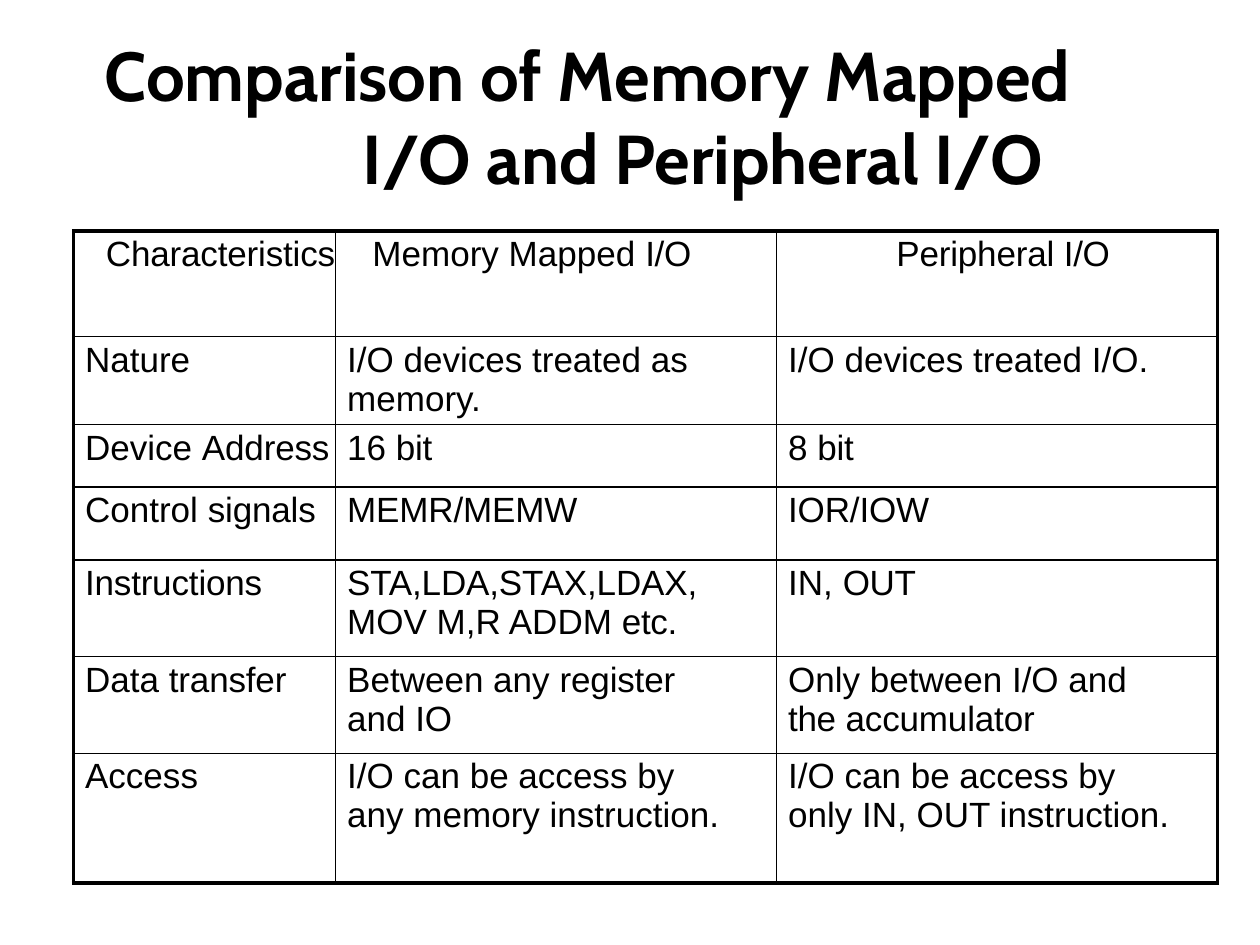
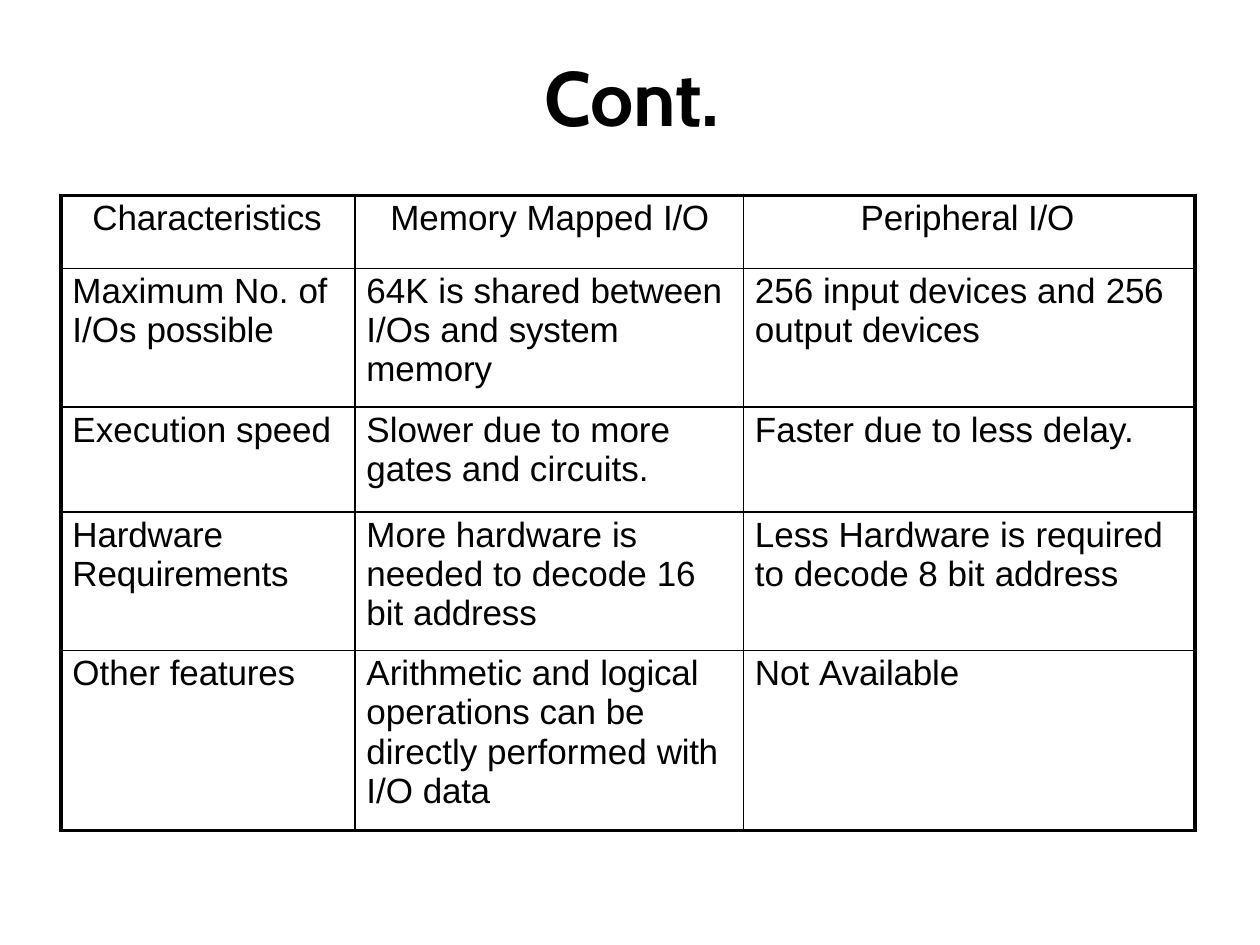
from dataclasses import dataclass

from lxml.etree import SubElement
from pptx import Presentation
from pptx.dml.color import RGBColor
from pptx.enum.text import MSO_ANCHOR as Anchor, MSO_AUTO_SIZE as AutoSize, PP_ALIGN as Align
from pptx.oxml.ns import qn
from pptx.util import Pt


@dataclass(frozen=True)
class Theme:
    ink: RGBColor = RGBColor(0, 0, 0)
    paper: RGBColor = RGBColor(255, 255, 255)
    title_font: str = "Cabin"
    body_font: str = "Arial"
    long_title_size: float = 39.5
    short_title_size: float = 44
    body_size: float = 20
    frame_line: float = 2.25
    grid_line: float = 1
    cell_indent: float = 6.6
    cell_top: float = 2.2


THEME = Theme()


@dataclass(frozen=True)
class Tracked:
    """A piece of text with its own letter spacing in points."""
    text: str
    spacing: float


def tight(text):
    return Tracked(text, -0.1)


def tighter(text):
    return Tracked(text, -0.2)


IO = tighter("I/O")
HEADINGS = [
    [tight("Characteristics")],
    ["Memory Mapped ", IO],
    [tight("Peripheral "), IO],
]

COMPARISON = [
    HEADINGS,
    [["Nature"], ["I/O devices treated as memory."], ["I/O devices treated I/O."]],
    [["Device ", tight("Address")], ["16 ", tighter("bit")], ["8 ", tighter("bit")]],
    [["Control ", tight("signals")], [tight("MEMR/MEMW")], [tight("IOR/IOW")]],
    [[tight("Instructions")],
     [tight("STA,LDA,STAX,LDAX, "), "MOV M,R ADDM ", tighter("etc.")],
     ["IN, ", tighter("OUT")]],
    [["Data ", tight("transfer")],
     ["Between any ", tight("register "), "and ", tighter("IO")],
     ["Only between I/O and ", tighter("the "), tight("accumulator")]],
    [["Access"],
     ["I/O can be access by any memory instruction."],
     ["I/O can be access by only IN, OUT instruction."]],
]

CONTINUATION = [
    HEADINGS,
    [["Maximum No. ", tighter("of "), "I/Os ", tight("possible")],
     ["64K is shared ", tight("between "), "I/Os and ", tight("system memory")],
     ["256 input devices and ", tighter("256 "), "output ", tight("devices")]],
    [["Execution ", tight("speed")],
     ["Slower due to more gates and circuits."],
     ["Faster due to less delay."]],
    [[tight("Hardware Requirements")],
     ["More hardware ", tighter("is "), "needed to decode ", tighter("16 "),
      "bit ", tight("address")],
     ["Less Hardware is ", tight("required "), "to decode 8 bit ", tight("address")]],
    [["Other ", tight("features")],
     ["Arithmetic and ", tight("logical "), "operations can", tighter(" be "),
      "directly performed ", tighter("with "), "I/O ", tighter("data")],
     ["Not ", tight("Available")]],
]


def add_runs(paragraph, pieces, font_name, size, bold=False):
    for piece in pieces:
        tracked = piece if isinstance(piece, Tracked) else Tracked(piece, 0)
        run = paragraph.add_run()
        run.text = tracked.text
        font = run.font
        font.name, font.size, font.bold = font_name, Pt(size), bold
        font.color.rgb = THEME.ink
        font._element.set("spc", str(round(tracked.spacing * 100)))


def set_indent(paragraph, left, first_line=0):
    properties = paragraph._p.get_or_add_pPr()
    properties.set("marL", str(Pt(left)))
    properties.set("indent", str(Pt(first_line)))


def set_title(slide, box, pieces, size, top_inset, left, first_line=0,
              space_before=1, line_spacing=None):
    title = slide.shapes.title
    title.left, title.top, title.width, title.height = map(Pt, box)
    frame = title.text_frame
    frame.margin_left = frame.margin_right = frame.margin_bottom = 0
    frame.margin_top = Pt(top_inset)
    frame.vertical_anchor = Anchor.TOP
    frame.word_wrap = True
    frame.auto_size = AutoSize.SHAPE_TO_FIT_TEXT
    paragraph = frame.paragraphs[0]
    paragraph.alignment = Align.LEFT
    paragraph.space_before = Pt(space_before)
    if line_spacing:
        paragraph.line_spacing = Pt(line_spacing)
    set_indent(paragraph, left, first_line)
    add_runs(paragraph, pieces, THEME.title_font, size, bold=True)


def set_borders(cell, outer_edges):
    properties = cell._tc.get_or_add_tcPr()
    for position, edge in enumerate("LRTB"):
        width = THEME.frame_line if edge in outer_edges else THEME.grid_line
        line = SubElement(properties, qn(f"a:ln{edge}"), w=str(Pt(width)))
        fill = SubElement(line, qn("a:solidFill"))
        SubElement(fill, qn("a:srgbClr"), val=str(THEME.ink))
        properties.insert(position, line)  # borders come before the fill


def fill_cell(cell, pieces, indent, right_margin):
    cell.fill.background()
    cell.margin_left = cell.margin_bottom = 0
    cell.margin_top = Pt(THEME.cell_top)
    cell.margin_right = Pt(right_margin)
    cell.vertical_anchor = Anchor.TOP
    paragraph = cell.text_frame.paragraphs[0]
    paragraph.alignment = Align.LEFT
    paragraph.space_before = Pt(THEME.cell_top)
    set_indent(paragraph, indent)
    add_runs(paragraph, pieces, THEME.body_font, THEME.body_size)


def add_comparison_table(slide, left, top, widths, heights, rows,
                         heading_indents, right_margins):
    last_row, last_column = len(heights) - 1, len(widths) - 1
    table = slide.shapes.add_table(
        len(heights), len(widths), Pt(left), Pt(top), Pt(sum(widths)), Pt(sum(heights))
    ).table
    table.first_row = table.horz_banding = False
    for column, width in zip(table.columns, widths):
        column.width = Pt(width)
    for row, height in zip(table.rows, heights):
        row.height = Pt(height)

    for row_index, row_cells in enumerate(rows):
        for column_index, pieces in enumerate(row_cells):
            cell = table.cell(row_index, column_index)
            is_heading = row_index == 0
            indent = heading_indents[column_index] if is_heading else THEME.cell_indent
            margin = 0 if is_heading else right_margins[column_index]
            fill_cell(cell, pieces, indent, margin)
            outer_edges = {
                edge for edge, is_outer in (
                    ("L", column_index == 0), ("R", column_index == last_column),
                    ("T", row_index == 0), ("B", row_index == last_row),
                ) if is_outer
            }
            set_borders(cell, outer_edges)


def add_slide(presentation):
    slide = presentation.slides.add_slide(presentation.slide_layouts[5])
    background = slide.background.fill
    background.solid()
    background.fore_color.rgb = THEME.paper
    return slide


def main():
    presentation = Presentation()
    presentation.slide_width, presentation.slide_height = Pt(720), Pt(540)

    # Comparison
    slide = add_slide(presentation)
    set_title(
        slide, (50.4, 5, 619.2, 108.7),
        ["Comparison of Memory Mapped ", tighter("I/O "), "and Peripheral ", IO],
        THEME.long_title_size, top_inset=13.7, left=157, first_line=-147.6,
        space_before=2.4, line_spacing=47.2,
    )
    add_comparison_table(
        slide, 42, 132, [149.8, 252, 252], [60.4, 50.3, 35.6, 41.7, 55.3, 55.3, 74.2],
        COMPARISON, heading_indents=[18.5, 21, 68.4], right_margins=[0, 25, 25],
    )

    # Continuation
    slide = add_slide(presentation)
    set_title(slide, (310.3, 27.4, 145.4, 54.7), [tight("Cont.")],
              THEME.short_title_size, top_inset=1, left=1)
    add_comparison_table(
        slide, 34.8, 111.6, [168, 222, 258], [41.7, 79.2, 60, 79.2, 103],
        CONTINUATION, heading_indents=[18, 20.2, 67], right_margins=[9, 9, 9],
    )

    presentation.save("out.pptx")


if __name__ == "__main__":
    main()
